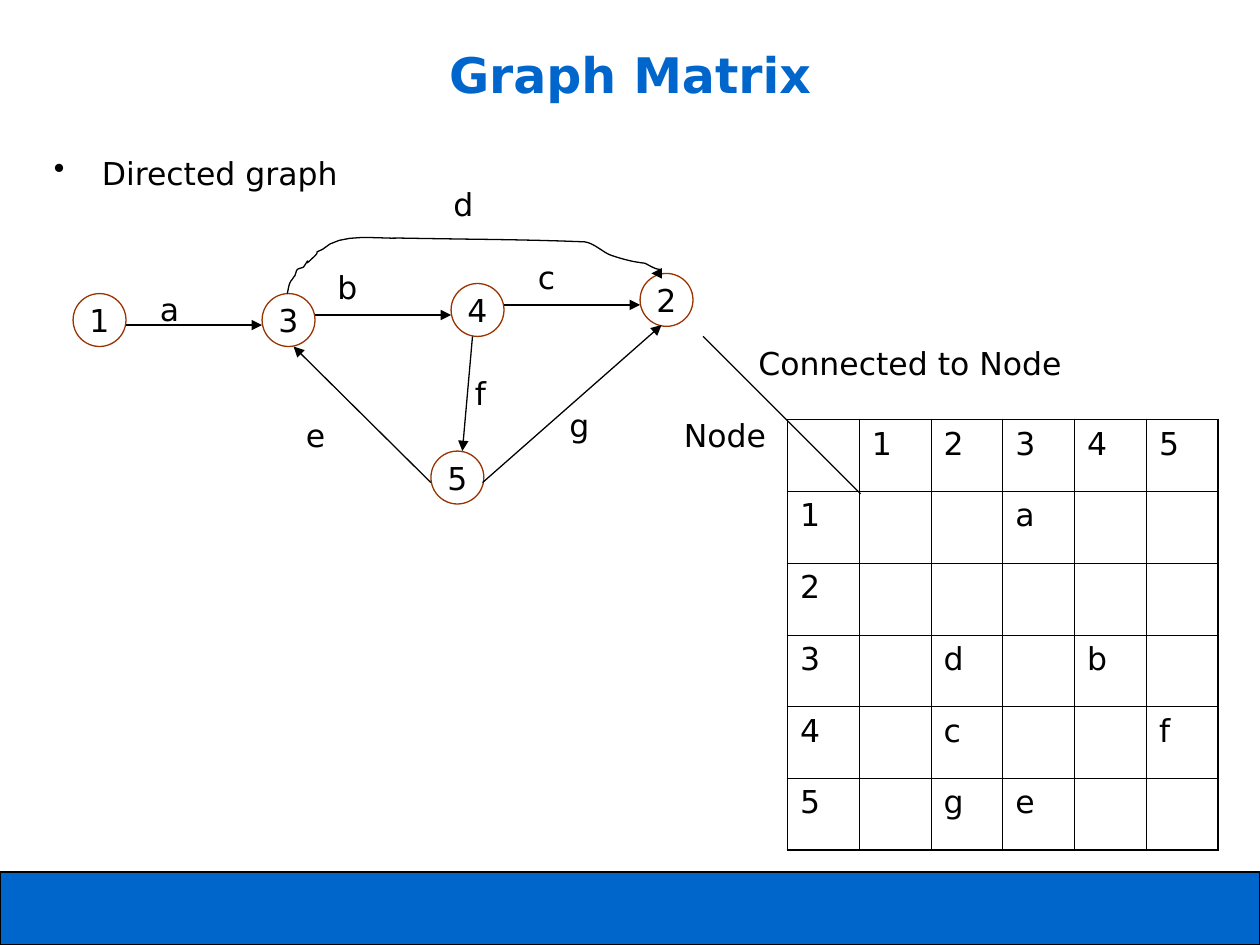
from dataclasses import dataclass

import pptx
import pptx.dml.color
import pptx.enum.shapes
import pptx.enum.text
import pptx.oxml
import pptx.oxml.ns
import pptx.util
from pptx.util import Inches

Point = tuple[float, float]
ANCHOR = pptx.enum.text.MSO_ANCHOR
ALIGN = pptx.enum.text.PP_ALIGN
SHAPE = pptx.enum.shapes.MSO_SHAPE


@dataclass(frozen=True)
class Theme:
    font: str = "DejaVu Sans"
    blue: str = "0066CC"
    brown: str = "993300"
    black: str = "000000"
    white: str = "FFFFFF"
    title_size: float = 28
    text_size: float = 18
    line_width: float = 0.74
    inner_border: float = 0.45
    outer_border: float = 1.08


@dataclass(frozen=True)
class Node:
    name: str
    left: float
    top: float


@dataclass(frozen=True)
class Edge:
    name: str
    source: int
    target: int
    label: Point
    start: Point
    end: Point


@dataclass(frozen=True)
class Label:
    text: str
    left: float
    top: float
    width: float


THEME = Theme()
NODE_SIZE = 0.42
CELL_SIZE = 0.57
NODES = [
    Node("1", 0.58, 2.33),
    Node("3", 2.08, 2.33),
    Node("4", 3.58, 2.25),
    Node("2", 5.08, 2.17),
    Node("5", 3.42, 3.58),
]
EDGES = [
    Edge("a", 1, 3, (1.17, 2.25), (1, 2.58), (2.08, 2.58)),
    Edge("b", 3, 4, (2.58, 2.08), (2.5, 2.5), (3.58, 2.5)),
    Edge("c", 4, 2, (4.17, 2), (4, 2.42), (5.08, 2.42)),
    Edge("d", 3, 2, (3.5, 1.42), (5.25, 2.17), (5.17, 2.17)),
    Edge("e", 5, 3, (2.33, 3.25), (3.42, 3.83), (2.33, 2.75)),
    Edge("f", 4, 5, (3.67, 2.92), (3.75, 2.67), (3.67, 3.58)),
    Edge("g", 5, 2, (4.42, 3.17), (3.83, 3.83), (5.25, 2.58)),
]
LABELS = [Label(edge.name, *edge.label, 0.58) for edge in EDGES] + [
    Label("Node", 5.33, 3.25, 1),
    Label("Connected to Node", 5.92, 2.68, 3),
]
ARC_START = (2.28, 2.33)
ARC_CURVES = [
    ((2.29, 2.3), (2.29, 2.26), (2.31, 2.23)),
    ((2.32, 2.22), (2.33, 2.2), (2.34, 2.19)),
    ((2.35, 2.17), (2.35, 2.15), (2.36, 2.14)),
    ((2.37, 2.13), (2.39, 2.13), (2.41, 2.12)),
    ((2.49, 2), (2.38, 2.15), (2.48, 2.05)),
    ((2.56, 1.98), (2.47, 2.02), (2.56, 1.98)),
    ((2.7, 1.84), (3.02, 1.9), (3.17, 1.89)),
    ((3.66, 1.9), (4.15, 1.9), (4.64, 1.92)),
    ((4.72, 1.93), (4.79, 2.01), (4.86, 2.03)),
    ((4.95, 2.06), (5.03, 2.08), (5.12, 2.09)),
    ((5.16, 2.11), (5.2, 2.14), (5.25, 2.14)),
]


def color(value: str) -> pptx.dml.color.RGBColor:
    return pptx.dml.color.RGBColor.from_string(value)


def element(xml: str):
    return pptx.oxml.parse_xml(xml.replace(" ", f' {pptx.oxml.ns.nsdecls("a")} ', 1))


def write(frame, text: str, size: float = THEME.text_size, ink: str = THEME.black,
          align=ALIGN.LEFT, bold: bool = False) -> None:
    frame.text = text
    para = frame.paragraphs[0]
    para.alignment = align
    for span in para.runs:
        span.font.name = THEME.font
        span.font.size = pptx.util.Pt(size)
        span.font.bold = bold
        span.font.color.rgb = color(ink)


def add_label(page, label: Label):
    box = page.shapes.add_textbox(
        Inches(label.left), Inches(label.top), Inches(label.width), Inches(0.4))
    box.text_frame.word_wrap = True
    write(box.text_frame, label.text)
    return box


def outline(shape, ink: str) -> None:
    shape.shadow.inherit = False
    shape.line.color.rgb = color(ink)
    shape.line.width = pptx.util.Pt(THEME.line_width)


def add_filled(page, kind, left: float, top: float, width: float, height: float,
               fill: str, ink: str):
    shape = page.shapes.add_shape(
        kind, Inches(left), Inches(top), Inches(width), Inches(height))
    shape.fill.solid()
    shape.fill.fore_color.rgb = color(fill)
    outline(shape, ink)
    return shape


def add_node(page, node: Node) -> None:
    circle = add_filled(page, SHAPE.OVAL, node.left, node.top, NODE_SIZE, NODE_SIZE,
                        THEME.white, THEME.brown)
    circle.text_frame.word_wrap = False
    circle.text_frame.vertical_anchor = ANCHOR.MIDDLE
    write(circle.text_frame, node.name, align=ALIGN.CENTER)


def add_line(page, start: Point, end: Point, arrow: bool = False) -> None:
    line = page.shapes.add_connector(
        pptx.enum.shapes.MSO_CONNECTOR.STRAIGHT, *map(Inches, start + end))
    line.line.color.rgb = color(THEME.black)
    line.line.width = pptx.util.Pt(THEME.line_width)
    if arrow:
        line.line._get_or_add_ln().append(element('<a:tailEnd type="triangle"/>'))
    line._element.spPr.append(element("<a:effectLst />"))


def add_arc(page, start: Point, curves, steps: int = 8) -> None:
    points = []
    origin = start
    for first, second, end in curves:
        for step in range(1, steps + 1):
            t = step / steps
            points.append(tuple(
                Inches((1 - t) ** 3 * p + 3 * (1 - t) ** 2 * t * q
                       + 3 * (1 - t) * t ** 2 * r + t ** 3 * s)
                for p, q, r, s in zip(origin, first, second, end)))
        origin = end
    builder = page.shapes.build_freeform(*map(Inches, start))
    builder.add_line_segments(points, close=False)
    arc = builder.convert_to_shape()
    arc.fill.background()
    outline(arc, THEME.black)


def add_matrix(page, left: float, top: float) -> None:
    count = len(NODES) + 1
    entries = {(edge.source, edge.target): edge.name for edge in EDGES}
    for number in range(1, count):
        entries[0, number] = entries[number, 0] = str(number)
    side = Inches(CELL_SIZE * count)
    table = page.shapes.add_table(
        count, count, Inches(left), Inches(top), side, side).table
    table.first_row = table.horz_banding = False
    for line in [*table.rows]:
        line.height = Inches(CELL_SIZE)
    for line in [*table.columns]:
        line.width = Inches(CELL_SIZE)
    for row in range(count):
        for column in range(count):
            cell = table.cell(row, column)
            cell.fill.background()
            write(cell.text_frame, entries.get((row, column), ""))
            edges = {"L": column == 0, "R": column == count - 1,
                     "T": row == 0, "B": row == count - 1}
            for index, (side_name, outer) in enumerate(edges.items()):
                width = pptx.util.Pt(THEME.outer_border if outer else THEME.inner_border)
                cell._tc.get_or_add_tcPr().insert(index, element(
                    f'<a:ln{side_name} w="{width}"><a:solidFill>'
                    f'<a:srgbClr val="{THEME.black}"/></a:solidFill></a:ln{side_name}>'))


deck = pptx.Presentation()
deck.slide_width, deck.slide_height = Inches(10), Inches(7.5)
page = deck.slides.add_slide(deck.slide_layouts[5])
add_filled(page, SHAPE.RECTANGLE, 0, 6.92, 10, 0.58, THEME.blue, THEME.black)

title = page.shapes.title
title.left, title.top, title.width, title.height = map(Inches, (0.5, 0.3, 9, 1.25))
title.text_frame.vertical_anchor = ANCHOR.TOP
write(title.text_frame, "Graph Matrix", THEME.title_size, THEME.blue, ALIGN.CENTER, True)

heading = add_label(page, Label("Directed graph", 0.33, 1.17, 4.58))
heading.height = Inches(5.58)
properties = heading.text_frame.paragraphs[0]._p.get_or_add_pPr()
properties.set("marL", str(Inches(0.38)))
properties.set("indent", str(-Inches(0.38)))
properties.append(element('<a:buChar char="•"/>'))

for node in NODES:
    add_node(page, node)
add_arc(page, ARC_START, ARC_CURVES)
for edge in EDGES:
    add_line(page, edge.start, edge.end, arrow=True)
add_matrix(page, 6.25, 3.33)
add_line(page, (6.83, 3.92), (5.58, 2.67))
for label in LABELS:
    add_label(page, label)

deck.save("out.pptx")
